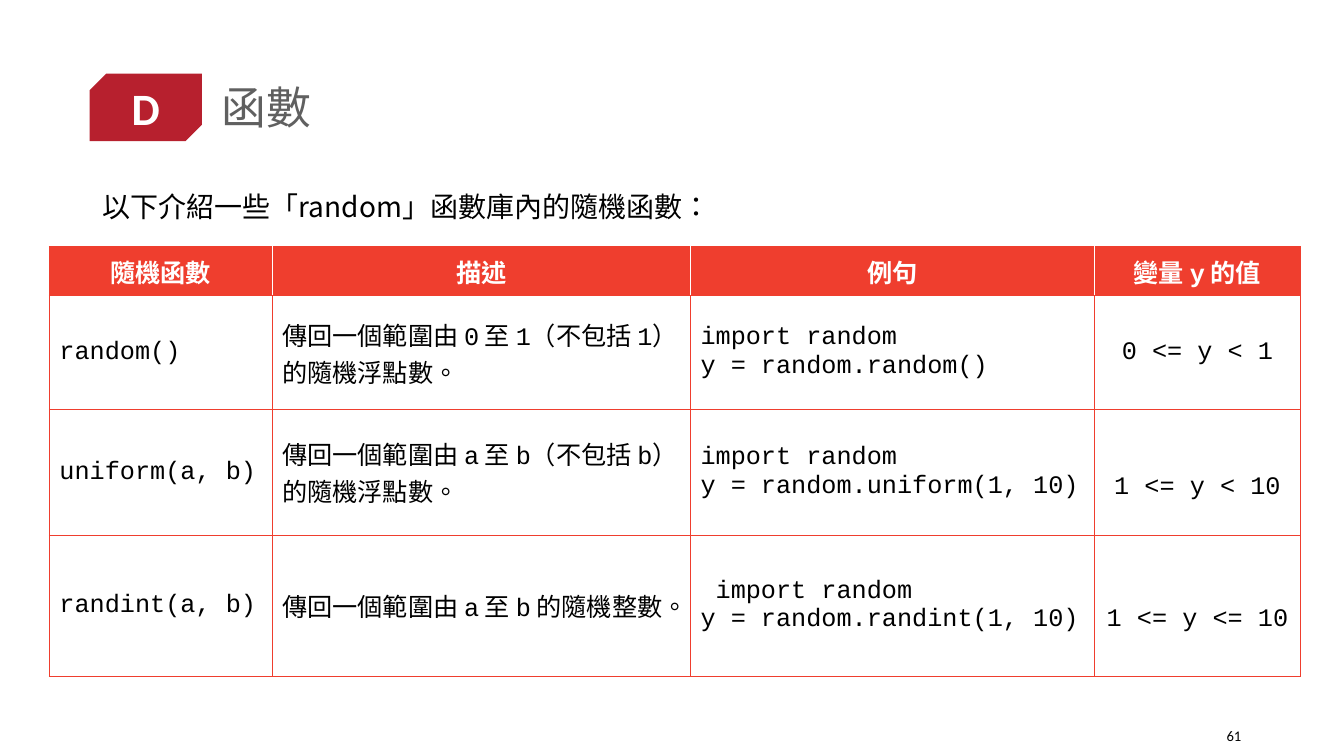
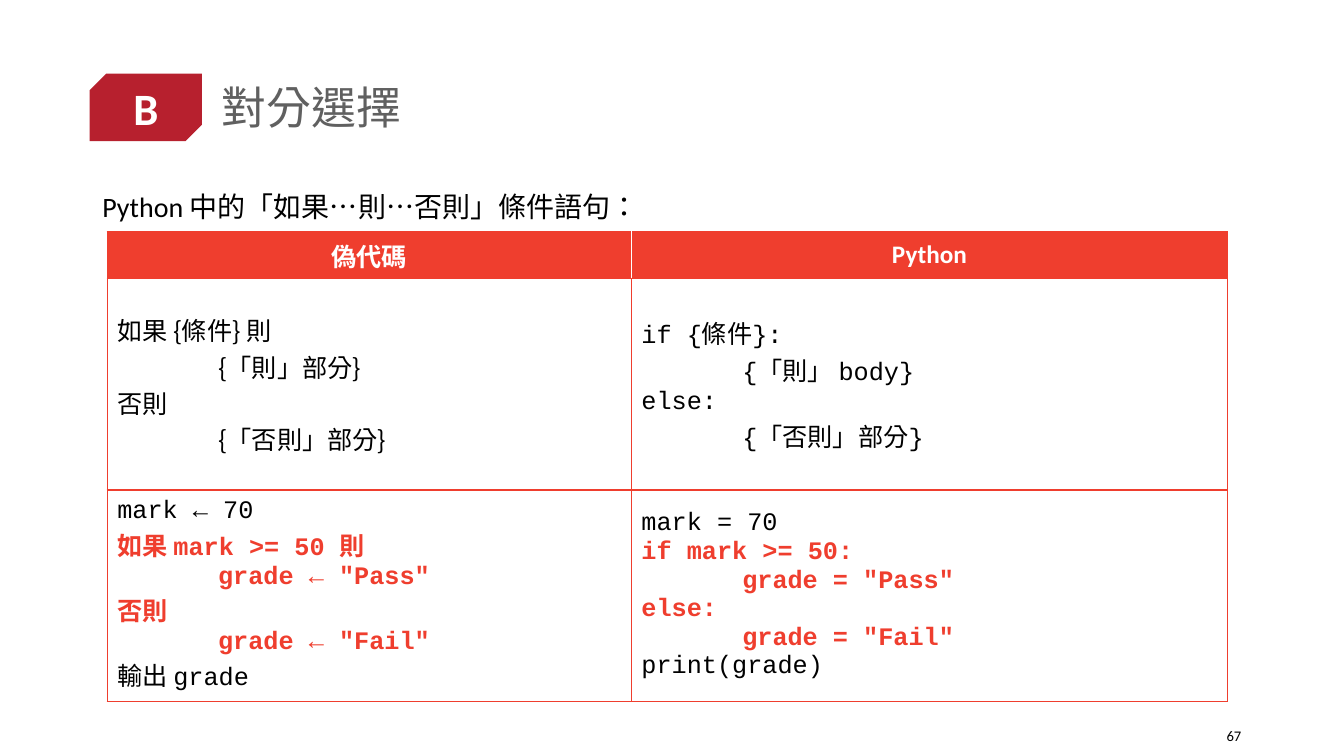
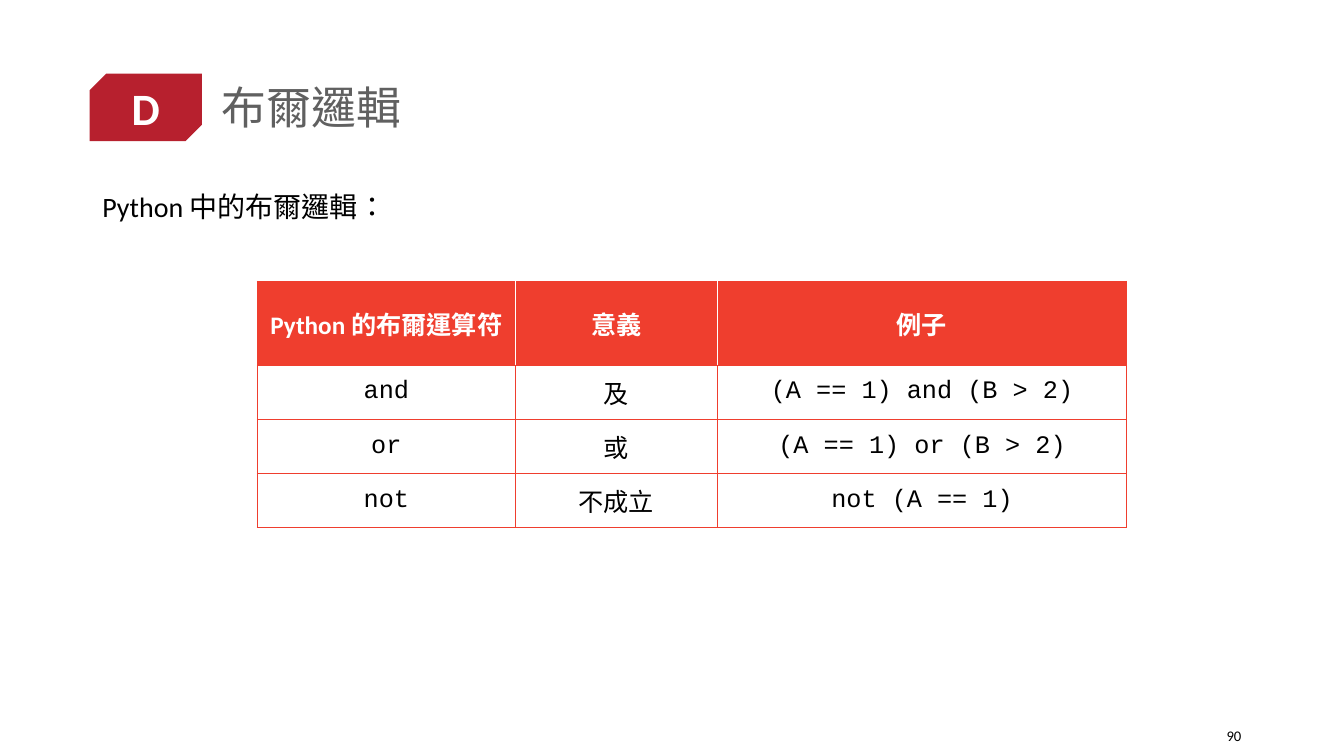
from collections import namedtuple

from pptx import Presentation
from pptx.dml.color import RGBColor
from pptx.enum.lang import MSO_LANGUAGE_ID
from pptx.enum.shapes import MSO_SHAPE
from pptx.enum.text import MSO_ANCHOR, PP_ALIGN
from pptx.oxml.ns import qn
from pptx.util import Pt
from lxml.etree import SubElement

Theme = namedtuple("Theme", "badge rule title ink paper body cjk code "
                            "title_size intro_size table_size page_size border tab")
THEME = Theme(badge="B7202E", rule="EF3E2E", title="606060", ink="000000", paper="FFFFFF",
              body="Calibri", cjk="Noto Sans CJK TC", code="Courier New",
              title_size=32, intro_size=20, table_size=18, page_size=10.5, border=1, tab=72)

# A paragraph is a string or a tuple of runs; Key marks a highlighted one.
Key = namedtuple("Key", "runs")

# Each cell is a list of paragraphs; the first row is the header.
# "centred" lists body columns; "lowered" gives extra space above a cell's text.
SLIDES = [
    {
        "letter": "D", "title": "函數", "page": "61",
        "intro": "以下介紹一些「random」函數庫內的隨機函數：",
        "origin": (35.3, 176.4),
        "columns": (159.1, 298.8, 288.7, 146.9),
        "heights": (34.8, 81.3, 89.8, 100.8),
        "centred": {3},
        "lowered": {(2, 3): 22, (3, 3): 20.4},
        "rows": [
            [["隨機函數"], ["描述"], ["例句"], [("變量 ", "y", " 的值")]],
            [["random()"],
             [("傳回一個範圍由 ", "0", " 至 ", "1", "（不包括 ", "1", "）的隨機浮點數。")],
             ["import random", "y = random.random()"],
             ["0 <= y < 1"]],
            [["uniform(a, b)"],
             [("傳回一個範圍由 ", "a", " 至 ", "b", "（不包括 ", "b", "）的隨機浮點數。")],
             ["import random", "y = random.uniform(1, 10)"],
             ["1 <= y < 10"]],
            [["randint(a, b)"],
             [("傳回一個範圍由 ", "a", " 至 ", "b", " 的隨機整數。")],
             [" import random", "y = random.randint(1, 10)"],
             ["1 <= y <= 10"]],
        ],
    },
    {
        "letter": "B", "title": "對分選擇", "page": "67",
        "intro": "Python 中的「如果…則…否則」條件語句：",
        "origin": (76.6, 165.6),
        "columns": (374.4, 425.8),
        "heights": (33.4, 151, 151),
        "centred": set(),
        "lowered": {},
        "rows": [
            [["偽代碼"], ["Python"]],
            [["如果 {條件} 則", "\t{「則」部分}", "否則", "\t{「否則」部分}"],
             [("if {", "條件", "}:"), ("\t{", "「則」", " body}"),
              "else:", ("\t{", "「否則」部分", "}")]],
            [["mark ← 70", Key(("如果", " mark >= 50 ", "則")), Key('\tgrade ← "Pass"'),
              Key("否則"), Key('\tgrade ← "Fail"'), ("輸出 ", "grade")],
             ["mark = 70", Key("if mark >= 50:"), Key('\tgrade = "Pass"'),
              Key("else:"), Key('\tgrade = "Fail"'), "print(grade)"]],
        ],
    },
    {
        "letter": "D", "title": "布爾邏輯", "page": "90",
        "intro": "Python 中的布爾邏輯：",
        "origin": (183.9, 201),
        "columns": (184.1, 144.5, 292.2),
        "heights": (59.8, 38.7, 38.7, 38.7),
        "centred": {0, 1, 2},
        "lowered": {},
        "rows": [
            [["Python 的布爾運算符"], ["意義"], ["例子"]],
            [["and"], ["及"], ["(A == 1) and (B > 2)"]],
            [["or"], ["或"], ["(A == 1) or (B > 2)"]],
            [["not"], ["不成立"], ["not (A == 1)"]],
        ],
    },
]


def rgb(code):
    return RGBColor.from_string(code)


def font_for(text):
    """Prose led by the language name is in the body font, Chinese in CJK, the rest is code."""
    if text.startswith("Python"):
        return THEME.body
    return THEME.cjk if any(ord(letter) > 0x2E80 for letter in text) else THEME.code


def add_run(paragraph, text, size, colour, bold=False, face=None):
    run = paragraph.add_run()
    run.text = text
    run.font.size, run.font.bold = Pt(size), bold
    run.font.language_id = MSO_LANGUAGE_ID.TRADITIONAL_CHINESE
    run.font.color.rgb = rgb(colour)
    run.font.name = face or font_for(text)
    SubElement(run.font._element, qn("a:ea")).set("typeface", THEME.cjk)


def add_label(slide, box, text, size, colour, face=None, anchor=MSO_ANCHOR.MIDDLE,
              align=PP_ALIGN.LEFT, spacing=1.0):
    frame = slide.shapes.add_textbox(*map(Pt, box)).text_frame
    frame.word_wrap = True
    frame.vertical_anchor = anchor
    paragraph = frame.paragraphs[0]
    paragraph.alignment, paragraph.line_spacing = align, spacing
    add_run(paragraph, text, size, colour, face=face)


def add_badge(slide, letter):
    badge = slide.shapes.add_shape(MSO_SHAPE.SNIP_2_DIAG_RECTANGLE,
                                   Pt(64.1), Pt(52.6), Pt(80.2), Pt(48.2))
    badge.adjustments[0], badge.adjustments[1] = 0.245, 0
    badge.shadow.inherit = False
    badge.fill.solid()
    badge.fill.fore_color.rgb = rgb(THEME.badge)
    badge.line.fill.background()
    frame = badge.text_frame
    frame.vertical_anchor = MSO_ANCHOR.MIDDLE
    frame.margin_top = frame.margin_bottom = 0
    paragraph = frame.paragraphs[0]
    paragraph.alignment = PP_ALIGN.CENTER
    add_run(paragraph, letter, THEME.title_size, THEME.paper, bold=True, face=THEME.body)


def set_tab_stop(paragraph):
    stops = SubElement(paragraph._p.get_or_add_pPr(), qn("a:tabLst"))
    SubElement(stops, qn("a:tab"), pos=str(Pt(THEME.tab)), algn="l")


def set_borders(cell, colours):
    """Draw the borders, given as left, right, top and bottom colours."""
    properties = cell._tc.get_or_add_tcPr()
    for place, (side, colour) in enumerate(zip("LRTB", colours)):
        line = SubElement(properties, qn(f"a:ln{side}"), w=str(Pt(THEME.border)))
        SubElement(SubElement(line, qn("a:solidFill")), qn("a:srgbClr"), val=colour)
        properties.insert(place, line)


def fill_cell(cell, paragraphs, header, centred):
    cell.vertical_anchor = MSO_ANCHOR.MIDDLE
    if header:
        cell.fill.solid()
        cell.fill.fore_color.rgb = rgb(THEME.rule)
    else:
        cell.fill.background()
    frame = cell.text_frame
    for number, content in enumerate(paragraphs):
        paragraph = frame.add_paragraph() if number else frame.paragraphs[0]
        paragraph.alignment = PP_ALIGN.CENTER if header or centred else PP_ALIGN.LEFT
        key = isinstance(content, Key)
        runs = content.runs if key else content
        if isinstance(runs, str):
            runs = (runs,)
        if runs[0].startswith("\t"):
            set_tab_stop(paragraph)
        colour = THEME.paper if header else THEME.rule if key else THEME.ink
        for text in runs:
            add_run(paragraph, text, THEME.table_size, colour, bold=header or key)


def add_grid(slide, content):
    rows, columns, heights = content["rows"], content["columns"], content["heights"]
    size = (sum(columns), sum(heights))
    table = slide.shapes.add_table(len(rows), len(columns),
                                   *map(Pt, content["origin"] + size)).table
    table.horz_banding = False
    for column, width in zip(table.columns, columns):
        column.width = Pt(width)
    for row, height in zip(table.rows, heights):
        row.height = Pt(height)
    last = len(columns) - 1
    for r, row in enumerate(rows):
        for c, paragraphs in enumerate(row):
            cell = table.cell(r, c)
            header = r == 0
            fill_cell(cell, paragraphs, header, c in content["centred"])
            cell.margin_top = Pt(3.6 + content["lowered"].get((r, c), 0))
            inner = THEME.paper if header else THEME.rule
            set_borders(cell, (inner if c > 0 else THEME.rule,
                               inner if c < last else THEME.rule,
                               THEME.rule, THEME.rule))


def build_slide(deck, content):
    slide = deck.slides.add_slide(deck.slide_layouts[6])
    add_badge(slide, content["letter"])
    add_label(slide, (151.2, 28.8, 743, 99.4), content["title"],
              THEME.title_size, THEME.title, spacing=0.9)
    add_label(slide, (833.3, 511.2, 60.5, 28.8), content["page"],
              THEME.page_size, THEME.ink, face=THEME.body, align=PP_ALIGN.RIGHT)
    add_label(slide, (66, 126.7, 828, 368.6), content["intro"],
              THEME.intro_size, THEME.ink, anchor=MSO_ANCHOR.TOP, spacing=1.2)
    add_grid(slide, content)


def main():
    deck = Presentation()
    deck.slide_width, deck.slide_height = Pt(960), Pt(540)
    for content in SLIDES:
        build_slide(deck, content)
    deck.save("out.pptx")


if __name__ == "__main__":
    main()
